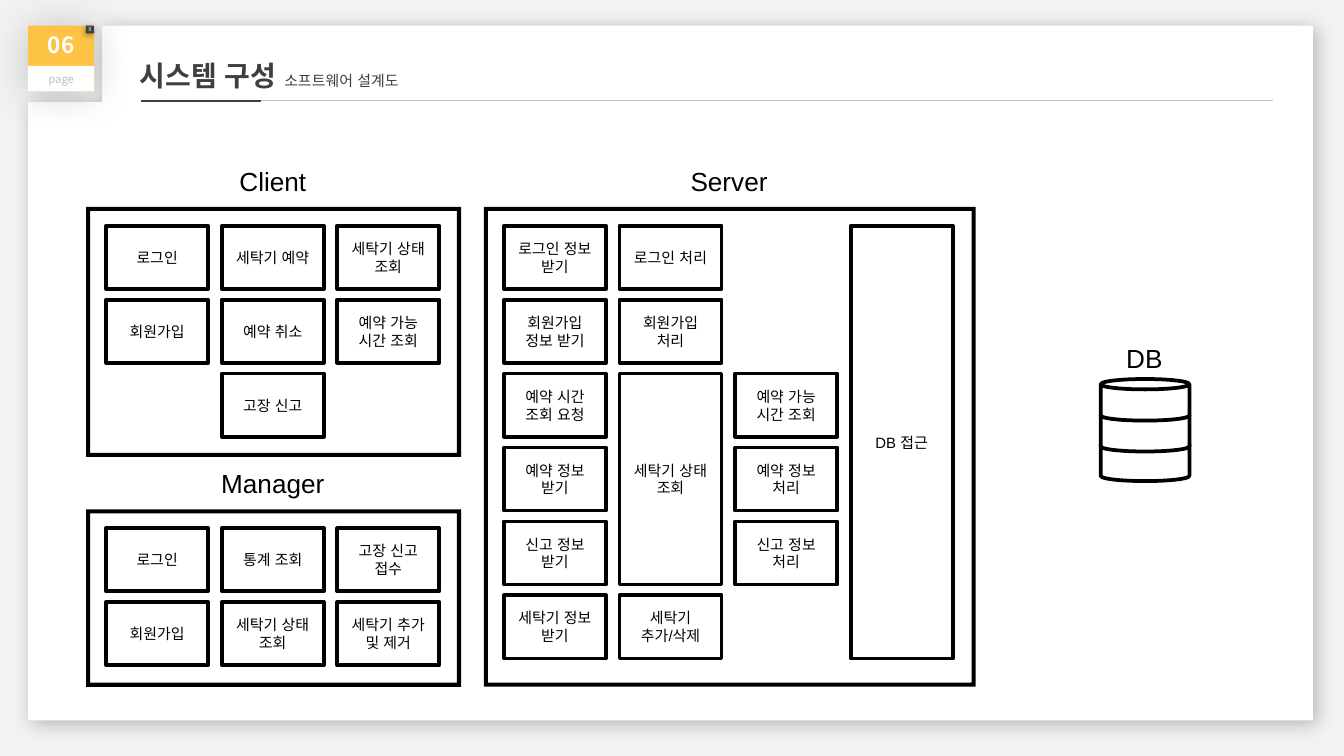
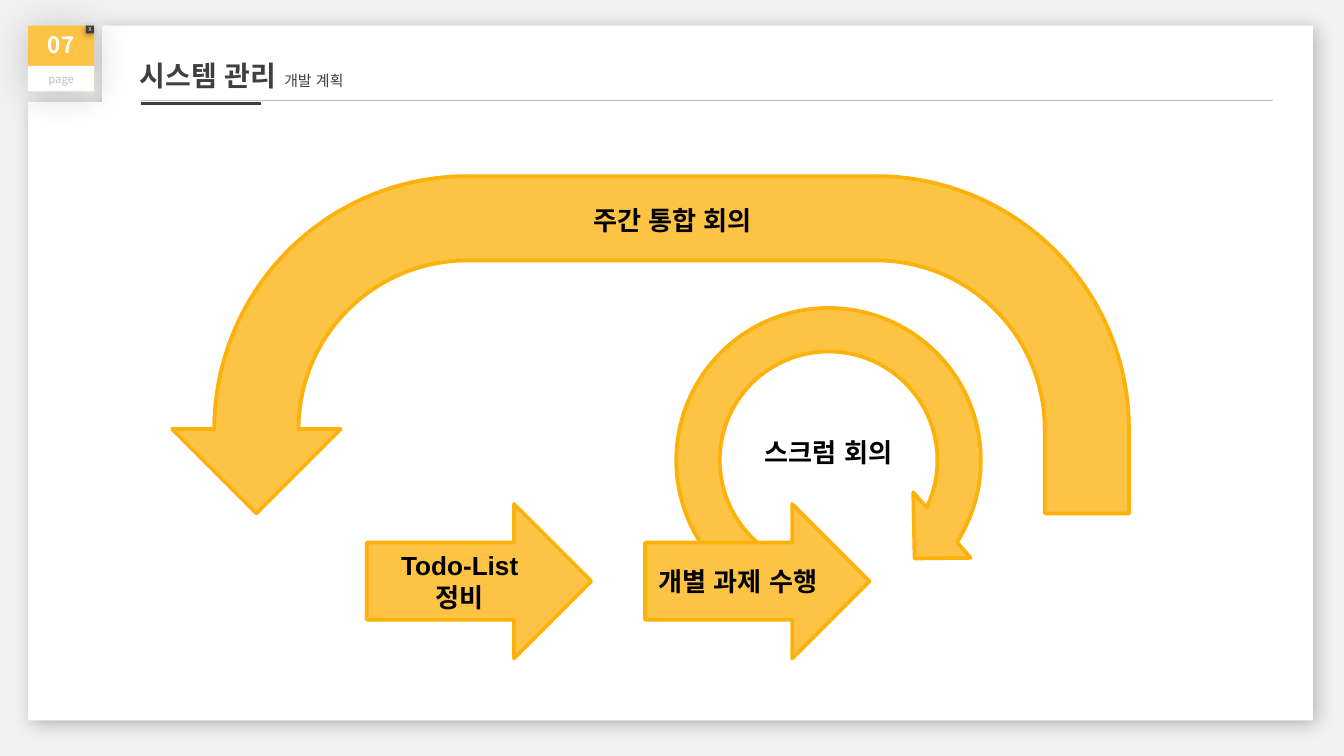
from typing import NamedTuple, Optional, Union

from lxml import etree
from pptx import Presentation
from pptx.dml.color import RGBColor
from pptx.enum.lang import MSO_LANGUAGE_ID
from pptx.enum.shapes import MSO_CONNECTOR, MSO_SHAPE
from pptx.enum.text import MSO_ANCHOR, MSO_AUTO_SIZE, PP_ALIGN
from pptx.oxml.ns import qn
from pptx.shapes.autoshape import Shape
from pptx.shapes.shapetree import GroupShapes, SlideShapes
from pptx.slide import Slide
from pptx.text.text import TextFrame, _Run
from pptx.util import Inches, Pt

ShapeTree = Union[SlideShapes, GroupShapes]

RECTANGLE = MSO_SHAPE.RECTANGLE
FRAME = MSO_SHAPE.FRAME
CAN = MSO_SHAPE.CAN
RIGHT_ARROW = MSO_SHAPE.RIGHT_ARROW
U_TURN_ARROW = MSO_SHAPE.U_TURN_ARROW
CIRCULAR_ARROW = MSO_SHAPE.CIRCULAR_ARROW
STRAIGHT = MSO_CONNECTOR.STRAIGHT
TOP, MIDDLE = MSO_ANCHOR.TOP, MSO_ANCHOR.MIDDLE
CENTER = PP_ALIGN.CENTER
GROW = MSO_AUTO_SIZE.SHAPE_TO_FIT_TEXT
KOREAN = MSO_LANGUAGE_ID.KOREAN

BACKGROUND = RGBColor(0xF2, 0xF2, 0xF2)
WHITE = RGBColor(0xFF, 0xFF, 0xFF)
BLACK = RGBColor(0x00, 0x00, 0x00)
DARK = RGBColor(0x3F, 0x3F, 0x3F)
GRAY = RGBColor(0xBF, 0xBF, 0xBF)
YELLOW = RGBColor(0xFD, 0xC3, 0x45)
ORANGE = RGBColor(0xFD, 0xB2, 0x0B)

BODY_FONT = "Arial"
KOREAN_FONT = "Noto Sans CJK KR"
OUTLINE = 2

SLIDE_WIDTH = Inches(10)
SLIDE_HEIGHT = SLIDE_WIDTH * 9 // 16

CELL_WIDTH, CELL_HEIGHT = 0.76, 0.47
COLUMN_STEP, ROW_STEP = 0.86, 0.55
PANEL_PAD_X, PANEL_PAD_Y = 0.15, 0.14
FRAME_THICKNESS = 0.03
LABEL_HEIGHT = 0.34

PAPER_OUTLINE = [(0.76, 0.19), (9.77, 0.19), (9.77, 5.36), (9.06, 5.36),
                 (0.76, 5.36), (0.21, 5.36), (0.21, 0.76), (0.76, 0.76)]


class Box(NamedTuple):
    left: float
    top: float
    width: float
    height: float


class TextStyle(NamedTuple):
    size: float
    color: RGBColor = BLACK
    bold: bool = False
    font: str = BODY_FONT


class Shadow(NamedTuple):
    """Outer shadow: opacity in percent, blur and distance in points, angle in degrees."""
    opacity: int
    blur: int
    distance: int
    angle: int


class Header(NamedTuple):
    number: str
    title: str
    subtitle: str
    accent_top: float


class Cell(NamedTuple):
    column: int
    row: int
    text: str
    row_span: int = 1


class Panel(NamedTuple):
    title: str
    box: Box
    cells: list[Cell]


CELL_STYLE = TextStyle(8)
LABEL_STYLE = TextStyle(14)
STEP_STYLE = TextStyle(14, bold=True)

PANELS = [
    Panel("Client", Box(0.64, 1.54, 2.79, 1.86), [
        Cell(0, 0, "로그인"),
        Cell(0, 1, "회원가입"),
        Cell(1, 0, "세탁기 예약"),
        Cell(1, 1, "예약 취소"),
        Cell(1, 2, "고장 신고"),
        Cell(2, 0, "세탁기 상태 조회"),
        Cell(2, 1, "예약 가능 시간 조회"),
    ]),
    Panel("Manager", Box(0.64, 3.79, 2.79, 1.32), [
        Cell(0, 0, "로그인"),
        Cell(0, 1, "회원가입"),
        Cell(1, 0, "통계 조회"),
        Cell(1, 1, "세탁기 상태 조회"),
        Cell(2, 0, "고장 신고 접수"),
        Cell(2, 1, "세탁기 추가 및 제거"),
    ]),
    Panel("Server", Box(3.6, 1.54, 3.66, 3.57), [
        Cell(0, 0, "로그인 정보 받기"),
        Cell(0, 1, "회원가입 정보 받기"),
        Cell(0, 2, "예약 시간 조회 요청"),
        Cell(0, 3, "예약 정보 받기"),
        Cell(0, 4, "신고 정보 받기"),
        Cell(0, 5, "세탁기 정보 받기"),
        Cell(1, 0, "로그인 처리"),
        Cell(1, 1, "회원가입 처리"),
        Cell(1, 2, "세탁기 상태 조회", 3),
        Cell(1, 5, "세탁기 추가/삭제"),
        Cell(2, 2, "예약 가능 시간 조회"),
        Cell(2, 3, "예약 정보 처리"),
        Cell(2, 4, "신고 정보 처리"),
        Cell(3, 0, "DB 접근", 6),
    ]),
]


def format_run(run: _Run, style: TextStyle) -> None:
    font = run.font
    font.size = Pt(style.size)
    font.bold = style.bold
    font.color.rgb = style.color
    font.name = style.font
    font.language_id = KOREAN
    etree.SubElement(run._r.rPr, qn("a:ea")).set("typeface", KOREAN_FONT)


def set_narrow_margins(frame: TextFrame) -> None:
    frame.margin_left = frame.margin_right = Inches(0.07)
    frame.margin_top = frame.margin_bottom = Inches(0.04)


def write_centered(frame: TextFrame, text: str, style: TextStyle) -> None:
    frame.text = text
    frame.word_wrap = True
    paragraph = frame.paragraphs[0]
    paragraph.alignment = CENTER
    format_run(paragraph.runs[0], style)


def paint(shape: Shape, fill: Optional[RGBColor], line: Optional[RGBColor] = None) -> None:
    shape.shadow.inherit = False
    if fill is None:
        shape.fill.background()
    else:
        shape.fill.solid()
        shape.fill.fore_color.rgb = fill
    if line is None:
        shape.line.fill.background()
    else:
        shape.line.color.rgb = line
        shape.line.width = Pt(OUTLINE)


def cast_shadow(shape: Shape, shadow: Shadow) -> None:
    effects = shape._element.spPr.find(qn("a:effectLst"))
    outer = etree.SubElement(effects, qn("a:outerShdw"), {
        "blurRad": str(Pt(shadow.blur)), "dist": str(Pt(shadow.distance)),
        "dir": str(shadow.angle * 60000), "algn": "tl", "rotWithShape": "0"})
    color = etree.SubElement(outer, qn("a:srgbClr"), {"val": str(BLACK)})
    etree.SubElement(color, qn("a:alpha"), {"val": str(shadow.opacity * 1000)})


def add_box(shapes: ShapeTree, kind: MSO_SHAPE, box: Box, fill: Optional[RGBColor],
            line: Optional[RGBColor] = None, adjustments: tuple[float, ...] = ()) -> Shape:
    shape = shapes.add_shape(kind, *map(Inches, box))
    paint(shape, fill, line)
    for index, value in enumerate(adjustments):
        shape.adjustments[index] = value
    return shape


def add_label(slide: Slide, box: Box, text: str, style: TextStyle) -> None:
    label = slide.shapes.add_textbox(*map(Inches, box))
    write_centered(label.text_frame, text, style)
    label.text_frame.auto_size = GROW


def add_rule(slide: Slide, right: float, top: float, color: RGBColor, width: float) -> None:
    rule = slide.shapes.add_connector(STRAIGHT, Inches(1.05), Inches(top), Inches(right), Inches(top))
    rule.line.color.rgb = color
    rule.line.width = Pt(width)
    etree.SubElement(rule._element.spPr, qn("a:effectLst"))


def add_paper(slide: Slide) -> None:
    start, *corners = [(Inches(x), Inches(y)) for x, y in PAPER_OUTLINE]
    builder = slide.shapes.build_freeform(*start)
    builder.add_line_segments(corners, close=True)
    paper = builder.convert_to_shape()
    paint(paper, WHITE)
    cast_shadow(paper, Shadow(26, 10, 3, 45))


def add_title(slide: Slide, header: Header) -> None:
    frame = slide.shapes.add_textbox(Inches(0.97), Inches(0.27), Inches(5), Inches(0.45)).text_frame
    frame.word_wrap = True
    frame.auto_size = GROW
    set_narrow_margins(frame)
    paragraph = frame.paragraphs[0]
    paragraph.line_spacing = 1.5
    for text, size, bold in ((header.title + " ", 15, True), (header.subtitle, 8, False)):
        run = paragraph.add_run()
        run.text = text
        format_run(run, TextStyle(size, DARK, bold, KOREAN_FONT))


def add_page_badge(slide: Slide, number: str) -> None:
    shapes = slide.shapes.add_group_shape().shapes
    parts = [
        (Box(0.21, 0.19, 0.49, 0.49), YELLOW, number, TextStyle(12, WHITE, True, KOREAN_FONT),
         TOP, Shadow(20, 21, 1, 90)),
        (Box(0.21, 0.49, 0.49, 0.19), WHITE, "page", TextStyle(6, GRAY, False, KOREAN_FONT),
         MIDDLE, None),
        (Box(0.64, 0.19, 0.06, 0.06), DARK, "X", TextStyle(3, WHITE, False, KOREAN_FONT),
         MIDDLE, Shadow(40, 3, 1, 135)),
    ]
    for box, fill, text, style, anchor, shadow in parts:
        shape = add_box(shapes, RECTANGLE, box, fill)
        write_centered(shape.text_frame, text, style)
        set_narrow_margins(shape.text_frame)
        shape.text_frame.vertical_anchor = anchor
        if shadow:
            cast_shadow(shape, shadow)


def add_base_slide(presentation: Presentation, header: Header) -> Slide:
    slide = presentation.slides.add_slide(presentation.slide_layouts[6])
    slide.background.fill.solid()
    slide.background.fill.fore_color.rgb = BACKGROUND
    add_paper(slide)
    add_title(slide, header)
    add_rule(slide, 9.47, 0.75, GRAY, 0.75)
    add_rule(slide, 1.94, header.accent_top, DARK, 1.25)
    add_page_badge(slide, header.number)
    return slide


def add_panel(slide: Slide, panel: Panel) -> None:
    box = panel.box
    add_box(slide.shapes, FRAME, box, BLACK,
            adjustments=(FRAME_THICKNESS / min(box.width, box.height),))
    add_label(slide, Box(box.left + box.width / 2 - 0.58, box.top - 0.36, 1.15, LABEL_HEIGHT),
              panel.title, LABEL_STYLE)
    for cell in panel.cells:
        cell_box = Box(box.left + PANEL_PAD_X + cell.column * COLUMN_STEP,
                       box.top + PANEL_PAD_Y + cell.row * ROW_STEP,
                       CELL_WIDTH, CELL_HEIGHT + (cell.row_span - 1) * ROW_STEP)
        shape = add_box(slide.shapes, RECTANGLE, cell_box, WHITE, BLACK)
        write_centered(shape.text_frame, cell.text, CELL_STYLE)


def add_database(slide: Slide) -> None:
    disks = slide.shapes.add_group_shape().shapes
    for top, fill in ((3.27, None), (3.05, WHITE), (2.82, WHITE)):
        add_box(disks, CAN, Box(8.19, top, 0.66, 0.31), fill, BLACK)
    add_label(slide, Box(8.26, 2.5, 0.51, LABEL_HEIGHT), "DB", LABEL_STYLE)


def add_step_arrow(slide: Slide, left: float, text: str) -> None:
    arrow = add_box(slide.shapes, RIGHT_ARROW, Box(left, 3.75, 1.67, 1.15), YELLOW, ORANGE)
    write_centered(arrow.text_frame, text, STEP_STYLE)


def build_architecture_slide(presentation: Presentation) -> None:
    slide = add_base_slide(presentation, Header("06", "시스템 구성", "소프트웨어 설계도", 0.75))
    for panel in PANELS:
        add_panel(slide, panel)
    add_database(slide)


def build_plan_slide(presentation: Presentation) -> None:
    slide = add_base_slide(presentation, Header("07", "시스템 관리", "개발 계획", 0.77))
    add_step_arrow(slide, 2.73, "Todo-List 정비")
    weekly_loop = add_box(slide.shapes, U_TURN_ARROW, Box(1.28, 1.31, 7.12, 2.51), YELLOW, ORANGE,
                          (0.25, 0.25, 0.25, 0.75, 1))
    weekly_loop.rotation = 180
    weekly_loop._element.spPr.find(qn("a:xfrm")).set("flipV", "1")
    add_label(slide, Box(3.91, 1.47, 2.19, LABEL_HEIGHT), "주간 통합 회의", STEP_STYLE)
    scrum_loop = add_box(slide.shapes, CIRCULAR_ARROW, Box(4.87, 2.13, 2.59, 2.59), YELLOW, ORANGE,
                         (0.125, 11.42, 204.58, 23.81, 0.125))
    scrum_loop.rotation = 48.8
    add_step_arrow(slide, 4.8, "개별 과제 수행")
    add_label(slide, Box(5.17, 3.2, 1.99, LABEL_HEIGHT), "스크럼 회의", STEP_STYLE)


def main() -> None:
    presentation = Presentation()
    presentation.slide_width = SLIDE_WIDTH
    presentation.slide_height = SLIDE_HEIGHT
    build_architecture_slide(presentation)
    build_plan_slide(presentation)
    presentation.save("out.pptx")


if __name__ == "__main__":
    main()
